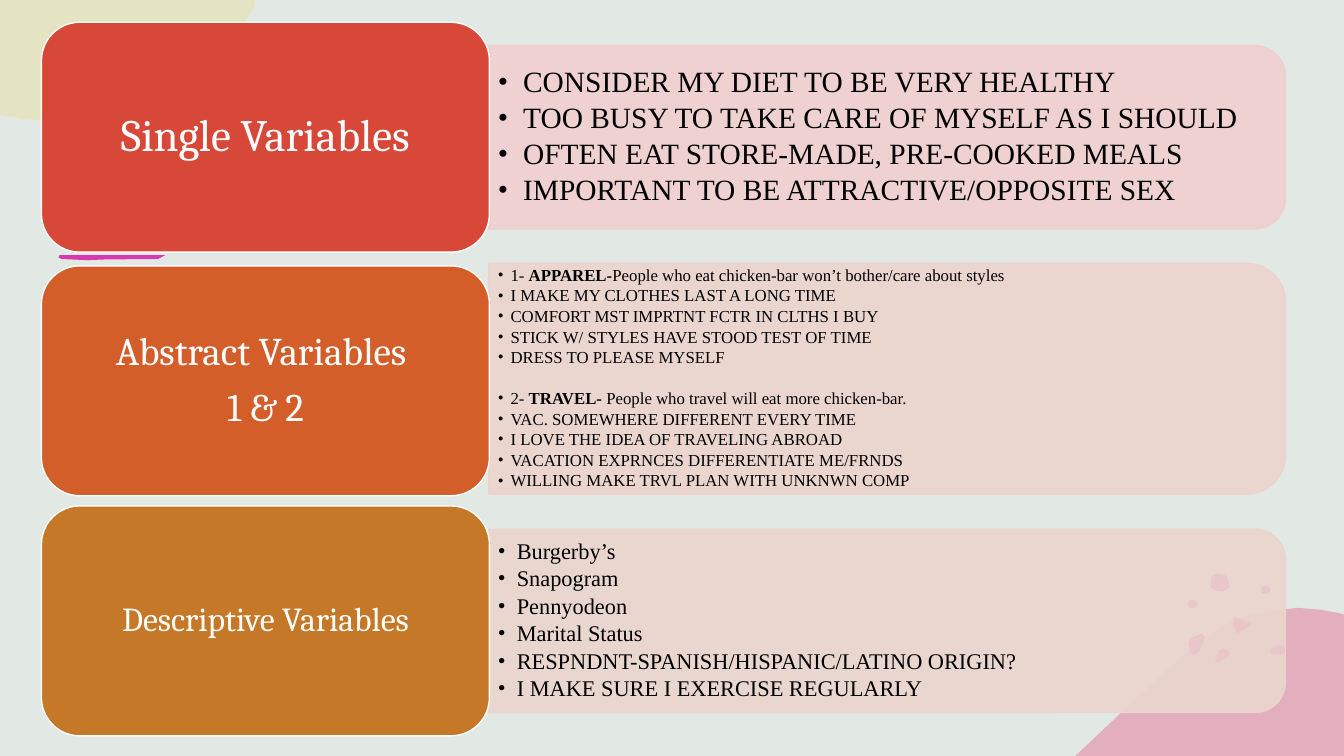
from lxml import etree
from pptx import Presentation, util as u
from pptx.dml.color import RGBColor
from pptx.enum import shapes, text
from pptx.oxml.ns import qn

COLORS = {
    "background": "E2E8E4", "pink": "E47699", "yellow": "E7E2A4", "magenta": "D739AE",
    "red": "D74839", "orange": "D45E2A", "ochre": "C57827",
    "rose": "F0CFCE", "peach": "EDD3CD", "sand": "EAD6CD",
    "white": "FFFFFF", "black": "000000",
}

PINK_CURVE = [(768.2, 540), (841.7, 470.9), (866, 451.6), (890.6, 439.9),
              (927.4, 434.2), (955.4, 437.8), (960, 439.2)]
YELLOW_CURVE = [(182.2, 4.3), (157, 38.2), (113.8, 61.9), (74.2, 78.5),
                (29.5, 85.7), (9.4, 83.5), (0, 82.1)]
BRUSH_STROKE = [(42.5, 182.2), (118.1, 182.2), (113, 185), (76, 185.3),
                (62, 185.8), (43.9, 185), (41.9, 184)]
SMALL_DOT = [(900.7, 421.9), (902.2, 418.3), (905.8, 419), (907.9, 421.2),
             (905, 424.1), (902.2, 424.1)]
DOTS = [
    [(873.4, 463.7), (877, 464.4), (878.4, 468), (869.8, 473), (868.3, 469.4), (871.2, 465.1)],
    [(857.5, 452.9), (860.4, 454.3), (860.4, 455.8), (856.1, 465.8), (851, 467.3),
     (848.9, 459.4), (852.5, 455)],
    [(913.7, 460.8), (918, 463.7), (916.6, 467.3), (907.9, 466.6), (908.6, 463)],
    [(864.7, 418.3), (865.4, 411.8), (869, 409.7), (875.5, 411.1), (878.4, 419),
     (872.6, 422.6), (866.2, 420.5)],
    SMALL_DOT,
    [(x - 52.3, y + 10.1) for x, y in SMALL_DOT],
    [(884.2, 441.4), (893.5, 445.7), (892.1, 447.1), (885.6, 451.4), (882.7, 451.4),
     (880.6, 443.5), (882, 441.4)],
]

ROWS = [
    dict(title=["Single Variables"], title_size=32, title_color="red", title_middle=98,
         panel_color="rose", panel_middle=98, panel_height=131,
         size=21, indent=18, items=[
             "CONSIDER MY DIET TO BE VERY HEALTHY",
             "TOO BUSY TO TAKE CARE OF MYSELF AS I SHOULD",
             "OFTEN EAT STORE-MADE, PRE-COOKED MEALS",
             "IMPORTANT TO BE ATTRACTIVE/OPPOSITE SEX"]),
    dict(title=["Abstract Variables ", "1 & 2"], title_size=28, title_color="orange",
         title_middle=272, panel_color="peach", panel_middle=270.5, panel_height=164.9,
         size=12, indent=9, items=[
             ("1- ", "APPAREL-", "People who eat chicken-bar won’t bother/care about styles"),
             "I MAKE MY CLOTHES LAST A LONG TIME",
             "COMFORT MST IMPRTNT FCTR IN CLTHS I BUY",
             "STICK W/ STYLES HAVE STOOD TEST OF TIME",
             "DRESS TO PLEASE MYSELF",
             ("2- ", "TRAVEL- ", "People who travel will eat more chicken-bar."),
             "VAC. SOMEWHERE DIFFERENT EVERY TIME",
             "I LOVE THE IDEA OF TRAVELING ABROAD",
             "VACATION EXPRNCES DIFFERENTIATE ME/FRNDS",
             "WILLING MAKE TRVL PLAN WITH UNKNWN COMP"]),
    dict(title=["Descriptive Variables"], title_size=24, title_color="ochre", title_middle=443.5,
         panel_color="sand", panel_middle=443.5, panel_height=131,
         size=16, indent=13.5, items=[
             "Burgerby’s",
             "Snapogram",
             "Pennyodeon",
             "Marital Status",
             "RESPNDNT-SPANISH/HISPANIC/LATINO ORIGIN?",
             "I MAKE SURE I EXERCISE REGULARLY"]),
]


def smooth(nodes, closed=False, steps=2):
    if closed:
        padded = [nodes[-1], *nodes, *nodes[:2]]
    else:
        padded = [nodes[0], *nodes, nodes[-1]]
    points = []
    for a, b, c, d in zip(padded, padded[1:], padded[2:], padded[3:]):
        for step in range(steps):
            t = step / steps
            points.append(tuple(
                q + t * (r - p) / 2 + t**2 * (2 * p - 5 * q + 4 * r - s) / 2
                + t**3 * (3 * q - p - 3 * r + s) / 2
                for p, q, r, s in zip(a, b, c, d)))
    return points if closed else points + [nodes[-1]]


class VariablesSlide:
    title_font = "Cambria"
    body_font = "Times New Roman"

    def __init__(self, presentation):
        self.slide = presentation.slides.add_slide(presentation.slide_layouts[6])
        fill = self.slide.background.fill
        fill.solid()
        fill.fore_color.rgb = self.color("background")

    def color(self, name):
        return RGBColor.from_string(COLORS[name])

    def paint(self, shape, color, line=None, opacity=100):
        shape.shadow.inherit = False
        shape.fill.solid()
        shape.fill.fore_color.rgb = self.color(color)
        if line:
            shape.line.color.rgb = self.color(line)
            shape.line.width = u.Pt(1)
        else:
            shape.line.fill.background()
        if opacity < 100:
            for element in shape._element.spPr.iter(qn("a:srgbClr")):
                etree.SubElement(element, qn("a:alpha"), val=str(opacity * 1000))

    def outline(self, points, color, opacity=100):
        corners = [(u.Pt(x), u.Pt(y)) for x, y in points]
        builder = self.slide.shapes.build_freeform(*corners[0], scale=1.0)
        builder.add_line_segments(corners[1:], close=True)
        self.paint(builder.convert_to_shape(), color, opacity=opacity)

    def frame(self, shape, horizontal, vertical):
        frame = shape.text_frame
        frame.word_wrap = True
        frame.vertical_anchor = text.MSO_ANCHOR.MIDDLE
        frame.margin_left = frame.margin_right = u.Pt(horizontal)
        frame.margin_top = frame.margin_bottom = u.Pt(vertical)
        return frame

    def paragraph(self, frame, index, size, font, color, after, indent=0):
        paragraph = frame.add_paragraph() if index else frame.paragraphs[0]
        if indent:
            properties = paragraph._p.get_or_add_pPr()
            properties.set("marL", str(u.Pt(indent)))
            properties.set("indent", str(-u.Pt(indent)))
            etree.SubElement(properties, qn("a:buFont"), typeface=font)
            etree.SubElement(properties, qn("a:buChar"), char="•")
        paragraph.line_spacing = 0.9
        paragraph.space_after = u.Pt(after)
        paragraph.font.size = u.Pt(size)
        paragraph.font.name = font
        paragraph.font.color.rgb = self.color(color)
        return paragraph

    def panel(self, color, middle, height, left=349.2, width=569):
        shape = self.slide.shapes.add_shape(
            shapes.MSO_SHAPE.ROUND_2_SAME_RECTANGLE,
            u.Pt(left + (width - height) / 2), u.Pt(middle - width / 2),
            u.Pt(height), u.Pt(width))
        shape.rotation = 90
        self.paint(shape, color, line=color, opacity=90)

    def bullets(self, items, size, indent, middle, height=149):
        box = self.slide.shapes.add_textbox(
            u.Pt(349.2), u.Pt(middle - height / 2), u.Pt(562), u.Pt(height))
        frame = self.frame(box, 6.5, 3)
        after = size * 0.15
        for index, item in enumerate(items):
            parts = (item,) if isinstance(item, str) else item
            paragraph = self.paragraph(
                frame, index, size, self.body_font, "black", after, indent)
            if index and len(parts) > 1:
                paragraph.space_before = u.Pt(size * 1.04 + after)
            for position, part in enumerate(parts):
                run = paragraph.add_run()
                run.text = part
                if position == 1:
                    run.font.bold = True

    def title(self, lines, size, color, middle, height=164.2):
        shape = self.slide.shapes.add_shape(
            shapes.MSO_SHAPE.ROUNDED_RECTANGLE,
            u.Pt(29.6), u.Pt(middle - height / 2), u.Pt(320), u.Pt(height))
        self.paint(shape, color, line="white")
        frame = self.frame(shape, 9, 4.5)
        for index, line in enumerate(lines):
            paragraph = self.paragraph(frame, index, size, self.title_font, "white", size * 0.37)
            paragraph.alignment = text.PP_ALIGN.CENTER
            paragraph.add_run().text = line


def main():
    presentation = Presentation()
    presentation.slide_width = u.Pt(960)
    presentation.slide_height = u.Pt(540)
    slide = VariablesSlide(presentation)
    slide.outline(smooth(PINK_CURVE) + [(960, 540)], "pink", 50)
    for dot in DOTS:
        slide.outline(smooth(dot, closed=True), "magenta")
    slide.outline([(0, 0), (182.2, 0)] + smooth(YELLOW_CURVE), "yellow", 50)
    slide.outline(BRUSH_STROKE, "magenta")
    for row in ROWS:
        slide.panel(row["panel_color"], row["panel_middle"], row["panel_height"])
        slide.bullets(row["items"], row["size"], row["indent"], row["panel_middle"])
        slide.title(row["title"], row["title_size"], row["title_color"], row["title_middle"])
    presentation.save("out.pptx")


if __name__ == "__main__":
    main()
